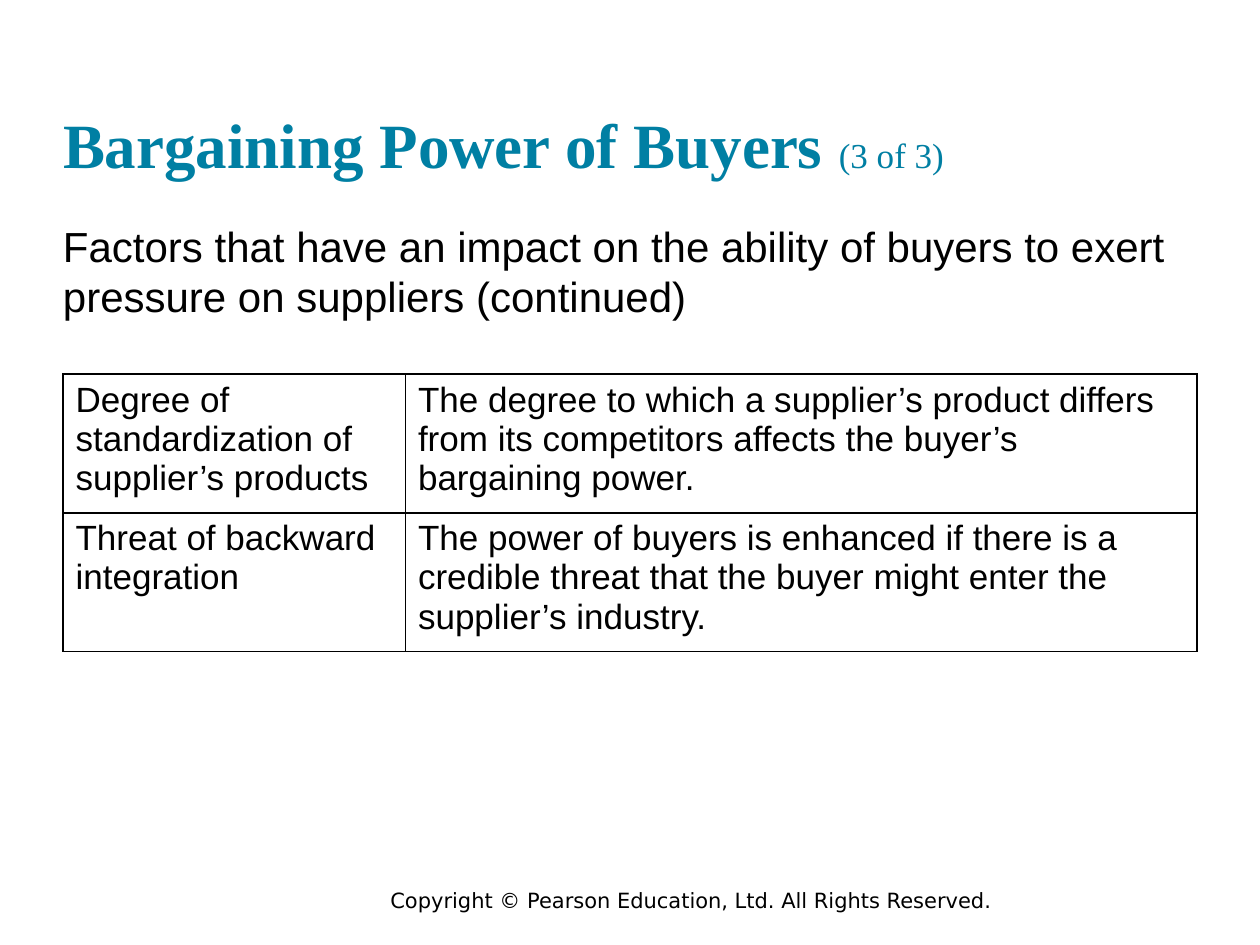
import dataclasses

import lxml.etree
import pptx
import pptx.dml.color
import pptx.enum.text
import pptx.oxml.ns
import pptx.util


@dataclasses.dataclass(frozen=True)
class Theme:
    """Hold the colours, fonts and type sizes of the slide."""
    accent: str = "007FA3"
    ink: str = "000000"
    paper: str = "FFFFFF"
    heading_font: str = "Times New Roman"
    body_font: str = "Arial"
    footer_font: str = "DejaVu Sans"
    title_size: int = 36
    body_size: int = 24
    small_size: int = 20
    footer_size: int = 12
    border_width: int = 1


THEME = Theme()
WIDTH = pptx.util.Inches(10)
HEIGHT = pptx.util.Inches(7.5)
NO_INSETS = dict.fromkeys(("margin_left", "margin_top", "margin_right", "margin_bottom"), 0)
FACTORS = [
    ("Degree of standardization of supplier’s products",
     "The degree to which a supplier’s product differs from its competitors "
     "affects the buyer’s bargaining power."),
    ("Threat of backward integration",
     "The power of buyers is enhanced if there is a credible threat that the "
     "buyer might enter the supplier’s industry."),
]


def share_box(left, top, width, height):
    """Turn shares of the slide into a box of lengths."""
    return int(left * WIDTH), int(top * HEIGHT), int(width * WIDTH), int(height * HEIGHT)


def apply_format(target, values):
    """Set each named attribute of the target."""
    for name, value in values.items():
        setattr(target, name, value)


def add_run(paragraph, text, font_name, size, color, bold=False):
    """Append a formatted run to a paragraph."""
    run = paragraph.add_run()
    run.text = text
    apply_format(run.font, {"name": font_name, "size": pptx.util.Pt(size), "bold": bold})
    run.font.color.rgb = pptx.dml.color.RGBColor.from_string(color)


def place_title(slide, box):
    """Move and fill the title placeholder."""
    title = slide.shapes.title
    apply_format(title, dict(zip(("left", "top", "width", "height"), box)))
    frame = title.text_frame
    apply_format(frame, NO_INSETS | {
        "word_wrap": True,
        "auto_size": pptx.enum.text.MSO_AUTO_SIZE.NONE,
        "vertical_anchor": pptx.enum.text.MSO_ANCHOR.BOTTOM,
    })
    paragraph = frame.paragraphs[0]
    paragraph.alignment = pptx.enum.text.PP_ALIGN.LEFT
    add_run(paragraph, "Bargaining Power of Buyers ", THEME.heading_font,
            THEME.title_size, THEME.accent, True)
    add_run(paragraph, "(3 of 3)", THEME.heading_font, THEME.small_size, THEME.accent)


def place_text(slide, box, text, font_name, size, insets):
    """Add a wrapped text box in the given box."""
    frame = slide.shapes.add_textbox(*box).text_frame
    apply_format(frame, insets | {"word_wrap": True})
    add_run(frame.paragraphs[0], text, font_name, size, THEME.ink)


def add_borders(cell):
    """Draw a solid line on the four sides of a cell."""
    properties = cell._tc.get_or_add_tcPr()
    for index, side in enumerate(("lnL", "lnR", "lnT", "lnB")):
        line = lxml.etree.Element(pptx.oxml.ns.qn(f"a:{side}"),
                                  w=str(pptx.util.Pt(THEME.border_width)))
        fill = lxml.etree.SubElement(line, pptx.oxml.ns.qn("a:solidFill"))
        lxml.etree.SubElement(fill, pptx.oxml.ns.qn("a:srgbClr"), val=THEME.ink)
        properties.insert(index, line)


def place_table(slide, box, rows, column_shares):
    """Add the table of factors, with rows of equal height."""
    table = slide.shapes.add_table(len(rows), len(column_shares), *box).table
    apply_format(table, {"first_row": False, "horz_banding": False})
    for column, share in zip(table.columns, column_shares):
        column.width = int(box[2] * share)
    for cell, text in zip(table.iter_cells(), (text for row in rows for text in row)):
        cell.fill.solid()
        cell.fill.fore_color.rgb = pptx.dml.color.RGBColor.from_string(THEME.paper)
        add_run(cell.text_frame.paragraphs[0], text, THEME.body_font,
                THEME.small_size, THEME.ink)
        add_borders(cell)


def main():
    """Build the slide and save it."""
    presentation = pptx.Presentation()
    apply_format(presentation, {"slide_width": WIDTH, "slide_height": HEIGHT})
    slide = presentation.slides.add_slide(presentation.slide_layouts.get_by_name("Title Only"))
    place_title(slide, share_box(0.05, 0.032, 0.9, 0.16))
    place_text(slide, share_box(0.05, 0.233, 0.9, 0.123),
               "Factors that have an impact on the ability of buyers to exert "
               "pressure on suppliers (continued)",
               THEME.body_font, THEME.body_size, NO_INSETS)
    place_table(slide, share_box(0.05, 0.396, 0.9, 0.275), FACTORS, (0.302, 0.698))
    place_text(slide, share_box(0.3, 0.933, 0.667, 0.04),
               "Copyright © Pearson Education, Ltd. All Rights Reserved.",
               THEME.footer_font, THEME.footer_size, {})
    presentation.save("out.pptx")


if __name__ == "__main__":
    main()
